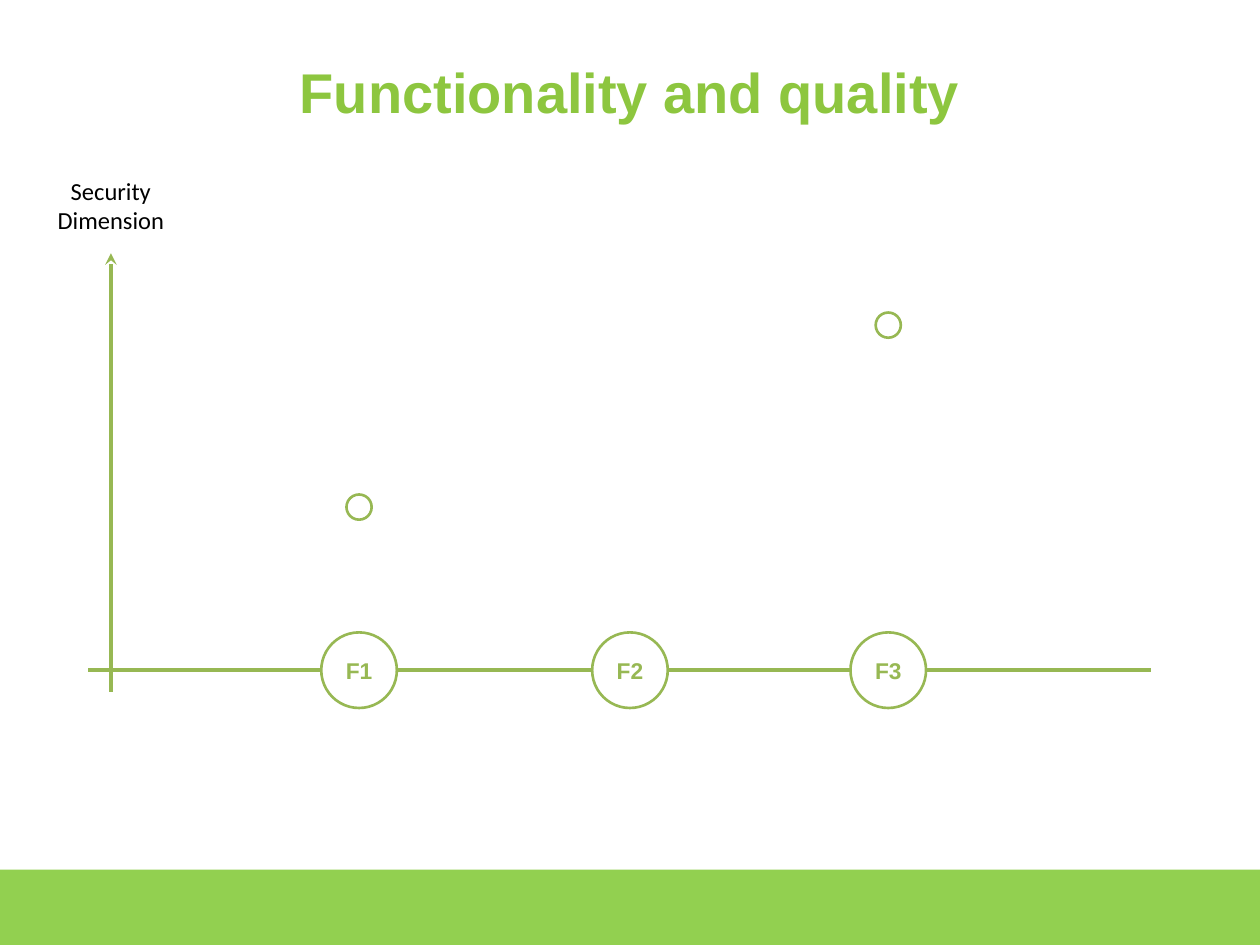
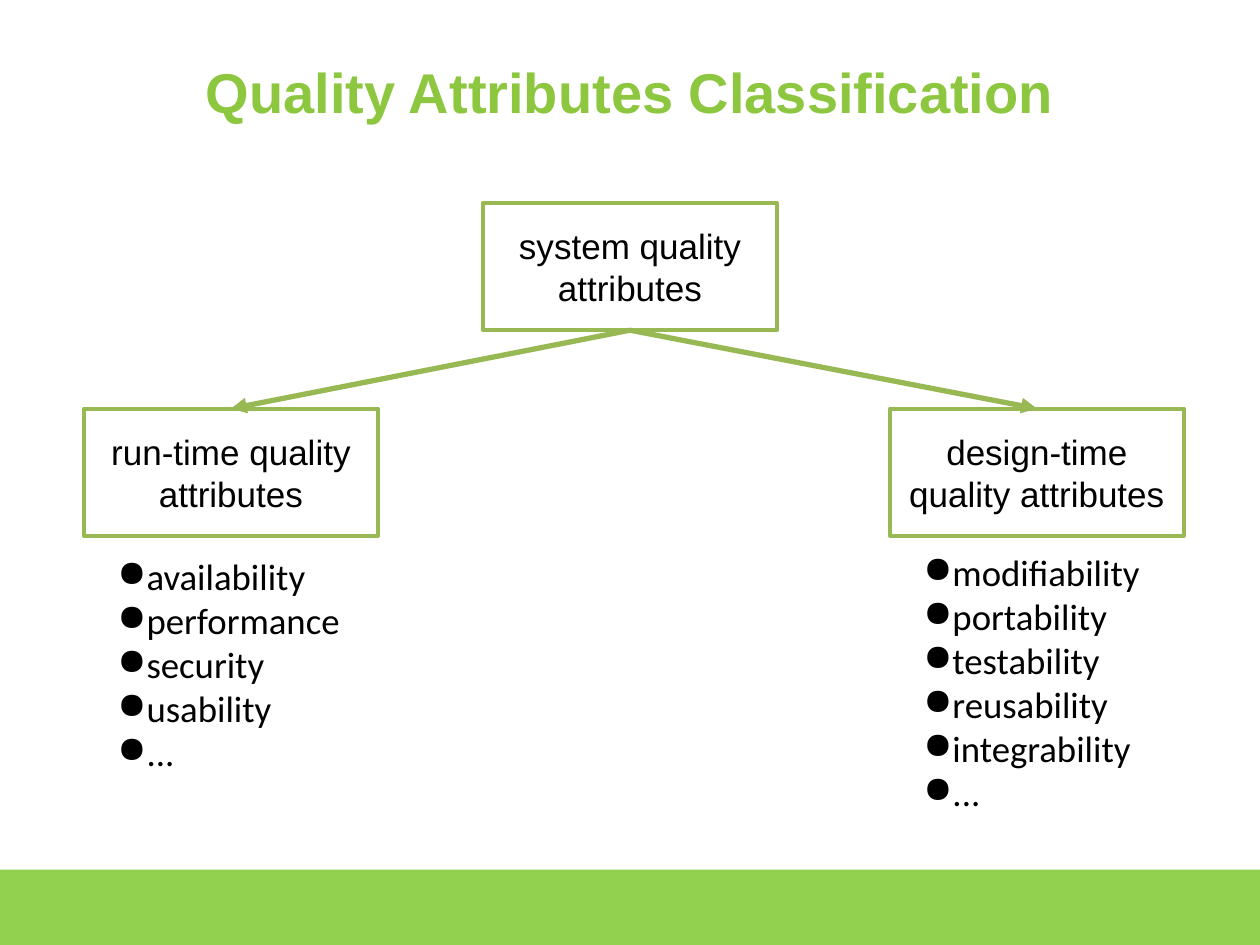
from lxml import etree
from pptx import Presentation
from pptx.dml.color import RGBColor
from pptx.enum import shapes, text
from pptx.oxml import ns
from pptx.util import Pt

TITLE_GREEN = RGBColor(0x8D, 0xC6, 0x3F)
BAND_GREEN = RGBColor(0x92, 0xD0, 0x50)
LINE_GREEN = RGBColor(0x97, 0xB8, 0x53)
WHITE = RGBColor(0xFF, 0xFF, 0xFF)
BLACK = RGBColor(0, 0, 0)

SLIDE_W, SLIDE_H = 720, 540
BAND_H = 43
INSET = 7.2
RECT, OVAL = shapes.MSO_SHAPE.RECTANGLE, shapes.MSO_SHAPE.OVAL


def set_text(sp, lines, size, font, color, bold=False, inset_y=INSET,
             align=text.PP_ALIGN.CENTER, anchor=text.MSO_ANCHOR.MIDDLE):
    tf = sp.text_frame
    tf.text = "\n".join(lines)
    tf.word_wrap = True
    tf.auto_size = text.MSO_AUTO_SIZE.NONE
    tf.vertical_anchor = anchor
    tf.margin_left = tf.margin_right = Pt(INSET)
    tf.margin_top = tf.margin_bottom = Pt(inset_y)
    for p in tf.paragraphs:
        p.alignment = align
        for r in p.runs:
            r.font.size, r.font.name, r.font.bold = Pt(size), font, bold
            r.font.color.rgb = color


def add_box(s, kind, x, y, w, h, line_width=0, fill=WHITE):
    sp = s.shapes.add_shape(kind, Pt(x), Pt(y), Pt(w), Pt(h))
    sp.shadow.inherit = False
    sp.fill.solid()
    sp.fill.fore_color.rgb = fill
    if line_width:
        sp.line.color.rgb = LINE_GREEN
        sp.line.width = Pt(line_width)
    else:
        sp.line.fill.background()
    return sp


def add_circle(s, cx, cy, diameter):
    return add_box(s, OVAL, cx - diameter / 2, cy - diameter / 2,
                   diameter, diameter, 1.5)


def add_line(s, x1, y1, x2, y2, width, head=None):
    cx = s.shapes.add_connector(shapes.MSO_CONNECTOR.STRAIGHT,
                                Pt(x1), Pt(y1), Pt(x2), Pt(y2))
    cx.line.color.rgb = LINE_GREEN
    cx.line.width = Pt(width)
    if head:
        etree.SubElement(cx.line._get_or_add_ln(), ns.qn("a:tailEnd"), type=head)
    etree.SubElement(cx._element.spPr, ns.qn("a:effectLst"))
    return cx


def add_bullets(s, x, y, w, h, items):
    sp = s.shapes.add_textbox(Pt(x), Pt(y), Pt(w), Pt(h))
    set_text(sp, items, 21, "Calibri", BLACK,
             align=text.PP_ALIGN.LEFT, anchor=text.MSO_ANCHOR.TOP)
    for p in sp.text_frame.paragraphs:
        pPr = p._p.get_or_add_pPr()
        pPr.set("marL", str(Pt(27)))
        pPr.set("indent", str(Pt(-15)))
        clr = etree.SubElement(pPr, ns.qn("a:buClr"))
        etree.SubElement(clr, ns.qn("a:srgbClr"), val=str(BLACK))
        etree.SubElement(pPr, ns.qn("a:buChar"), char="●")


def add_slide(prs, title):
    """Slide with the shared title and bottom band."""
    s = prs.slides.add_slide(prs.slide_layouts[5])
    sp = s.shapes.title
    sp.left, sp.top, sp.width, sp.height = Pt(36), Pt(21.6), Pt(648), Pt(61.2)
    set_text(sp, [title], 32, "Arial", TITLE_GREEN, bold=True, inset_y=3.6)
    add_box(s, RECT, 0, SLIDE_H - BAND_H, SLIDE_W, BAND_H, fill=BAND_GREEN)
    return s


def dimension_plot(s, x, y, w, h):
    """Axes in the box, features on the x axis, a dot for each rated feature."""
    axis_x, axis_y = x + 13, y + h - 12.3
    # Horizontal axis and its features: name, centre, height of dot
    add_line(s, x, axis_y, x + w, axis_y, 2.25)
    features = [("F1", 154.8, 93.2), ("F2", 309.6, None), ("F3", 457.2, 197.2)]
    for name, dx, rating in features:
        sp = add_circle(s, x + dx, axis_y, 43.2)
        set_text(sp, [name], 13, "Arial", LINE_GREEN, bold=True)
        if rating is not None:
            add_circle(s, x + dx, axis_y - rating, 14.4)
    # Vertical axis and its label
    add_line(s, axis_x, y + h, axis_x, y, 2.25, "stealth")
    label_w, label_h = 96.5, 51.5
    sp = s.shapes.add_textbox(Pt(axis_x - label_w / 2), Pt(y - label_h),
                              Pt(label_w), Pt(label_h))
    set_text(sp, ["Security Dimension"], 14, "Calibri", BLACK,
             anchor=text.MSO_ANCHOR.TOP)


def classification_tree(s, x, y, w):
    """Root box centred over two branches, each with a list below."""
    box_w, box_h, branch_dy = 168, 72.7, 117.5

    def node(left, top, label):
        sp = add_box(s, RECT, left, top, box_w, box_h, 2.25)
        set_text(sp, [label], 20, "Arial", BLACK)
        return sp

    root = node((SLIDE_W - box_w) / 2, y, "system quality attributes")
    branches = [
        (x, "run-time quality attributes", 3,
         ["availability", "performance", "security", "usability", "..."]),
        (x + w - box_w, "design-time quality attributes", 0.5,
         ["modifiability", "portability", "testability", "reusability",
          "integrability", "..."]),
    ]
    for left, label, gap, items in branches:
        branch = node(left, y + branch_dy, label)
        arrow = add_line(s, 0, 0, 0, 0, 3, "triangle")
        arrow.begin_connect(root, 2)
        arrow.end_connect(branch, 0)
        add_bullets(s, left, y + branch_dy + box_h + gap, box_w, 119.5, items)


def main():
    prs = Presentation()
    prs.slide_width, prs.slide_height = Pt(SLIDE_W), Pt(SLIDE_H)
    dimension_plot(add_slide(prs, "Functionality and quality"),
                   50.4, 144.7, 607.3, 250.6)
    classification_tree(add_slide(prs, "Quality Attributes Classification"),
                        48, 116, 628.5)
    prs.save("out.pptx")


if __name__ == "__main__":
    main()
